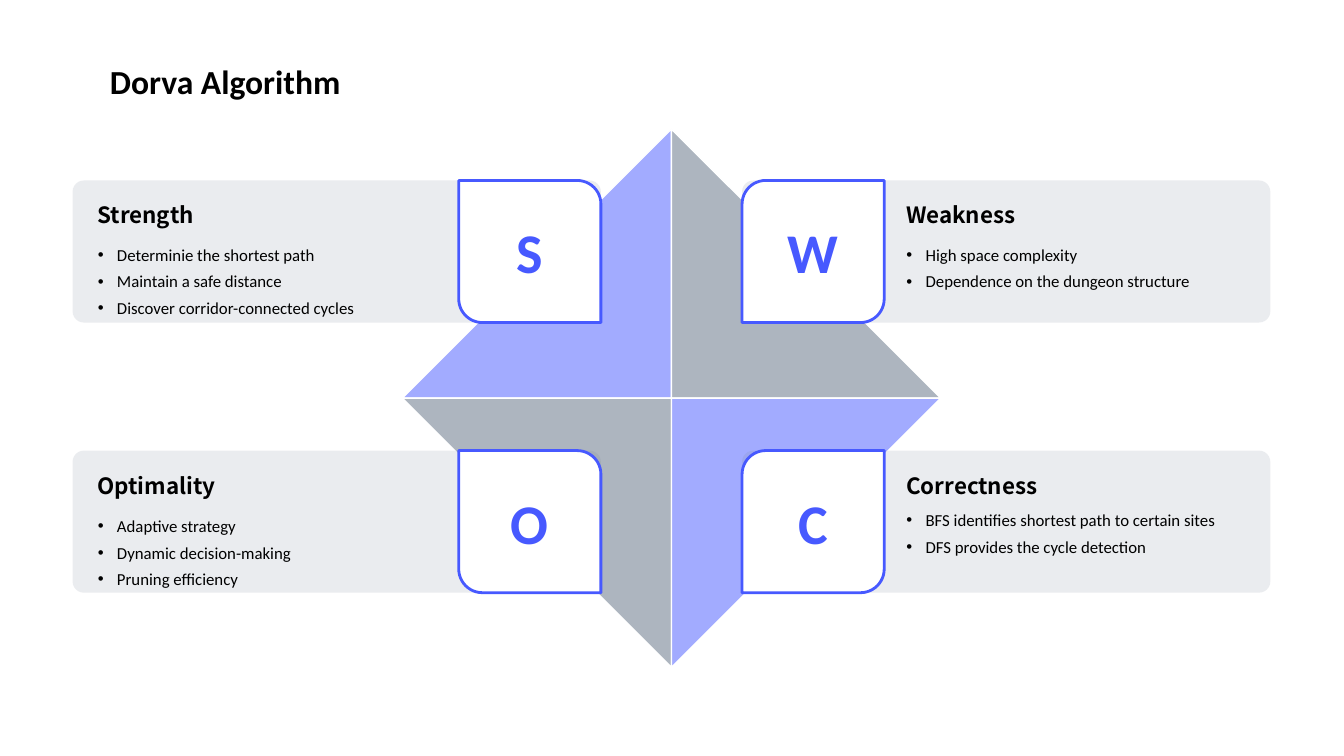
from dataclasses import dataclass

from lxml import etree
from pptx import Presentation
from pptx.dml.color import RGBColor
from pptx.enum.shapes import MSO_SHAPE
from pptx.enum.text import MSO_ANCHOR, MSO_AUTO_SIZE, PP_ALIGN
from pptx.oxml.ns import qn
from pptx.util import Inches, Pt

TRIANGLE = MSO_SHAPE.RIGHT_TRIANGLE
PANEL = MSO_SHAPE.ROUNDED_RECTANGLE
BADGE = MSO_SHAPE.ROUND_2_DIAG_RECTANGLE
TOP, MIDDLE, BOTTOM = MSO_ANCHOR.TOP, MSO_ANCHOR.MIDDLE, MSO_ANCHOR.BOTTOM
LEFT, CENTER, JUSTIFY = PP_ALIGN.LEFT, PP_ALIGN.CENTER, PP_ALIGN.JUSTIFY

COLORS = {"blue": "4759FF", "gray": "ADB5BF", "slate": "778495",
          "white": "FFFFFF", "black": "000000"}
BODY_FONT, HEADING_FONT = "Calibri", "Noto Sans CJK SC"
COMPARISON_LAYOUT = 4

# Geometry in inches: the star is centred on (CENTER_X, CENTER_Y)
CENTER_X, CENTER_Y = 6.66, 3.95
TRIANGLE_SIZE = 2.67
PANEL_WIDTH, PANEL_HEIGHT = 5.24, 1.41
PANEL_GAP = 0.7
PANEL_TOPS = (1.79, 4.47)
TEXT_LEFTS = (0.87, 8.89)
TEXT_WIDTH, HEADING_HEIGHT = 3.56, 0.37
BULLET_INDENT = 0.19
CORNER = 0.1667


@dataclass
class Quadrant:
    row: int
    column: int
    letter: str
    heading: str
    points: list[str]
    rotation: int
    list_top: float
    list_width: float = TEXT_WIDTH
    align: PP_ALIGN = LEFT


QUADRANTS = [
    Quadrant(0, 0, "S", "Strength",
             ["Determinie the shortest path", "Maintain a safe distance",
              "Discover corridor-connected cycles"], 270, 2.32),
    Quadrant(0, 1, "W", "Weakness",
             ["High space complexity", "Dependence on the dungeon structure"],
             0, 2.32),
    Quadrant(1, 0, "O", "Optimality",
             ["Adaptive strategy", "Dynamic decision-making",
              "Pruning efficiency"], 180, 5.01, align=JUSTIFY),
    Quadrant(1, 1, "C", "Correctness",
             ["BFS identifies shortest path to certain sites",
              "DFS provides the cycle detection"], 90, 4.95, list_width=3.89),
]


def place(box, left: float, top: float, width: float, height: float) -> None:
    box.left, box.top = Inches(left), Inches(top)
    box.width, box.height = Inches(width), Inches(height)


def write(box, lines: list[str], *, size: float, font: str = BODY_FONT,
          color: str = "black", bold: bool = False, align: PP_ALIGN = LEFT,
          anchor: MSO_ANCHOR = TOP, spacing: float = 1.0,
          bullets: bool = False) -> None:
    frame = box.text_frame
    frame.word_wrap = True
    frame.auto_size = MSO_AUTO_SIZE.NONE
    frame.vertical_anchor = anchor
    for number, line in enumerate(lines):
        para = frame.add_paragraph() if number else frame.paragraphs[0]
        para.alignment = align
        para.line_spacing = spacing
        para.space_before = Pt(0)
        span = para.add_run()
        span.text = line
        span.font.name, span.font.size, span.font.bold = font, Pt(size), bold
        span.font.color.rgb = RGBColor.from_string(COLORS[color])
        if bullets:
            properties = para._p.get_or_add_pPr()
            properties.set("marL", str(Inches(BULLET_INDENT)))
            properties.set("indent", str(-Inches(BULLET_INDENT)))
            bullet_font = etree.SubElement(properties, qn("a:buFont"))
            bullet_font.set("typeface", "Arial")
            etree.SubElement(properties, qn("a:buChar")).set("char", "•")


def add_block(page, kind: MSO_SHAPE, left: float, top: float, width: float,
              height: float, *, fill: str, opacity: int = 100,
              line: str | None = None, line_width: float = 1):
    block = page.shapes.add_shape(kind, Inches(left), Inches(top),
                                  Inches(width), Inches(height))
    block.shadow.inherit = False
    block.fill.solid()
    block.fill.fore_color.rgb = RGBColor.from_string(COLORS[fill])
    if opacity < 100:
        color = block._element.spPr.find(qn("a:solidFill"))[0]
        etree.SubElement(color, qn("a:alpha")).set("val", str(opacity * 1000))
    if line:
        block.line.color.rgb = RGBColor.from_string(COLORS[line])
        block.line.width = Pt(line_width)
    else:
        block.line.fill.background()
    return block


def draw_quadrant(page, quadrant: Quadrant, list_box) -> None:
    row, column = quadrant.row, quadrant.column
    top, text_left = PANEL_TOPS[row], TEXT_LEFTS[column]
    on_left = column == 0
    blue = row == column

    # Star point, turned so its right angle meets the centre
    star_point = add_block(
        page, TRIANGLE, CENTER_X - TRIANGLE_SIZE * (1 - column),
        CENTER_Y - TRIANGLE_SIZE * (1 - row), TRIANGLE_SIZE, TRIANGLE_SIZE,
        fill="blue" if blue else "gray", opacity=50 if blue else 100,
        line="white")
    star_point.rotation = quadrant.rotation

    # Panel and letter badge, mirrored about the centre
    def mirrored_left(width: float) -> float:
        return CENTER_X - PANEL_GAP - width if on_left else CENTER_X + PANEL_GAP

    panel = add_block(page, PANEL, mirrored_left(PANEL_WIDTH), top,
                      PANEL_WIDTH, PANEL_HEIGHT, fill="slate", opacity=15)
    panel.adjustments[0] = 0.08
    badge = add_block(page, BADGE, mirrored_left(PANEL_HEIGHT), top,
                      PANEL_HEIGHT, PANEL_HEIGHT, fill="white",
                      line="blue", line_width=2)
    badge.adjustments[0] = 0 if on_left else CORNER
    badge.adjustments[1] = CORNER if on_left else 0
    write(badge, [quadrant.letter], size=40, color="blue", bold=True,
          align=CENTER, anchor=MIDDLE)

    # Heading and list, the list brought in front of its panel
    heading = page.shapes.add_textbox(
        Inches(text_left), Inches(top + 0.155), Inches(TEXT_WIDTH),
        Inches(HEADING_HEIGHT))
    write(heading, [quadrant.heading], size=16, font=HEADING_FONT, bold=True,
          anchor=BOTTOM)
    place(list_box, text_left, quadrant.list_top, quadrant.list_width, 0.87)
    write(list_box, quadrant.points, size=12, align=quadrant.align,
          spacing=1.3, bullets=True)
    page.shapes._spTree.append(list_box._element)


def main() -> None:
    deck = Presentation()
    deck.slide_width, deck.slide_height = Inches(13.33), Inches(7.5)
    page = deck.slides.add_slide(deck.slide_layouts[COMPARISON_LAYOUT])

    # Title
    title = page.shapes.title
    place(title, 0.99, 0.55, 3.78, 0.5)
    write(title, ["Dorva Algorithm"], size=24, bold=True)

    # Four quadrants, each with one body placeholder
    list_boxes = [box for box in page.placeholders
                  if box.placeholder_format.idx > 0]
    for quadrant, list_box in zip(QUADRANTS, list_boxes):
        draw_quadrant(page, quadrant, list_box)

    deck.save("out.pptx")


if __name__ == "__main__":
    main()
